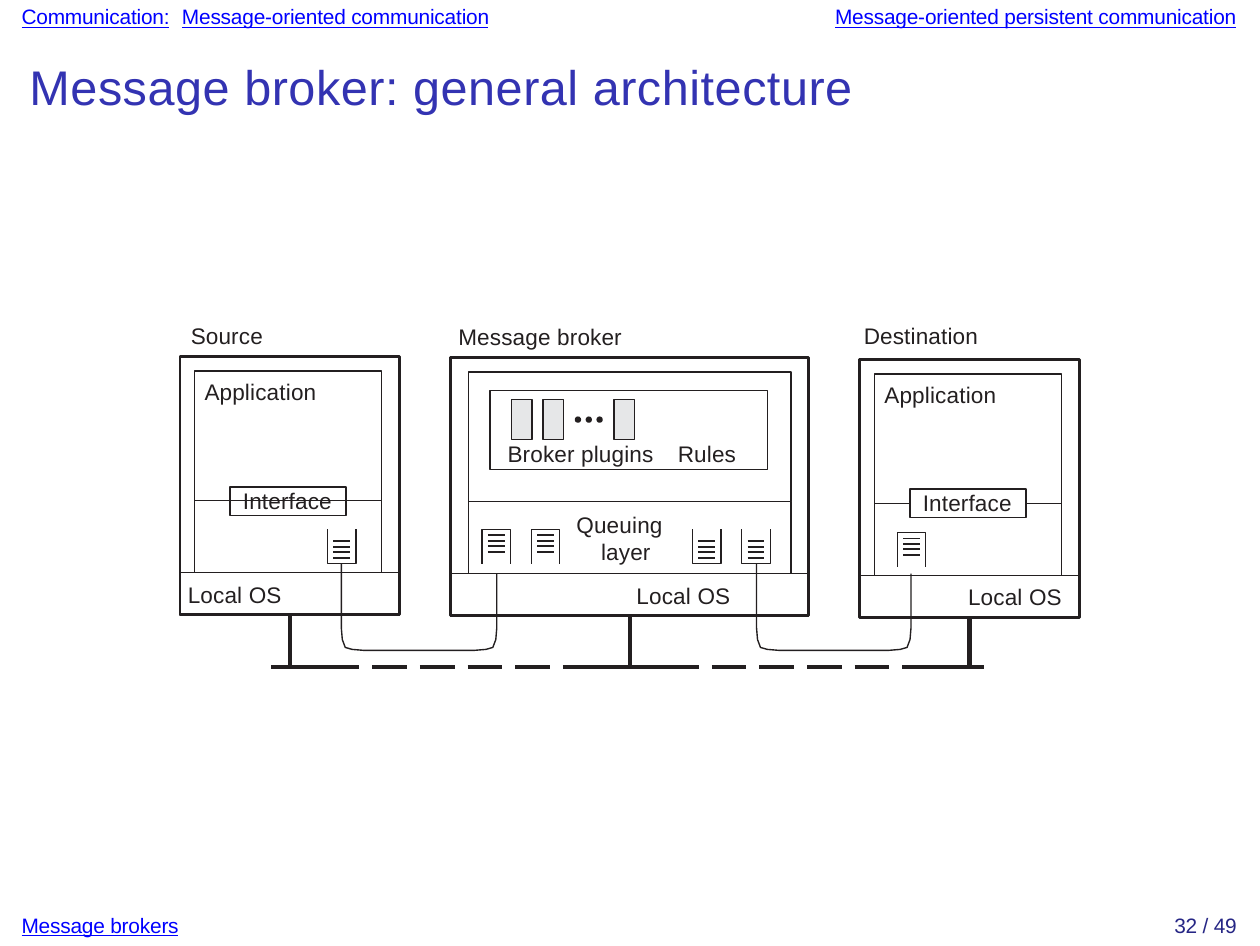
"""Draw the general architecture of a message broker on one slide."""
from dataclasses import dataclass

import pptx
import pptx.dml.color
import pptx.enum.dml
import pptx.enum.shapes
import pptx.enum.text
import pptx.oxml
import pptx.util

Cm = pptx.util.Cm
Pt = pptx.util.Pt
LEFT = pptx.enum.text.PP_ALIGN.LEFT
RIGHT = pptx.enum.text.PP_ALIGN.RIGHT
DASH = pptx.enum.dml.MSO_LINE.LONG_DASH
KIND = pptx.enum.shapes.MSO_SHAPE


@dataclass(frozen=True)
class Theme:
    font: str = "Arial"
    ink: str = "231F20"
    link: str = "0000FF"
    head: str = "3333B2"
    page: str = "262685"
    grey: str = "E6E7E8"
    white: str = "FFFFFF"
    small: float = 6
    body: float = 6.5
    title: float = 14
    thin: float = 0.41
    thick: float = 0.83
    bus: float = 1.25


@dataclass(frozen=True)
class Area:
    left: float
    top: float
    wide: float
    high: float


@dataclass(frozen=True)
class Style:
    size: float
    color: str
    space: int = 7
    under: bool = False


@dataclass(frozen=True)
class Label:
    text: str
    left: float
    top: float
    style: Style
    wide: float = 3
    align: int = LEFT
    hang: float = 0


@dataclass(frozen=True)
class Node:
    left: float
    top: float
    wide: float
    pad: float
    span: float
    shift: float
    app: str = ""


@dataclass(frozen=True)
class Queue:
    left: float
    top: float
    sign: int


THEME = Theme()
BODY = Style(THEME.body, THEME.ink)
LINK = Style(THEME.small, THEME.link, -5, True)
PAGE = Style(THEME.small, THEME.page, -5)
HEAD = Style(THEME.title, THEME.head, 15)

LABELS = [
    Label("Communication:", 0.22, 0.04, LINK),
    Label("Message-oriented communication", 1.85, 0.04, LINK, 5),
    Label("Message-oriented persistent communication", 6.56, 0.04, LINK, 6, RIGHT),
    Label("Message broker: general architecture", 0.3, 0.58, HEAD, 11),
    Label("Source", 1.94, 3.27, BODY),
    Label("Message broker", 4.66, 3.28, BODY),
    Label("Destination", 8.78, 3.27, BODY),
    Label("Broker plugins", 5.16, 4.47, BODY, 1.7),
    Label("Rules", 6.89, 4.47, BODY, 0.9),
    Label("Queuing\vlayer", 5.86, 5.19, BODY, 1.1, hang=0.25),
    Label("Message brokers", 0.22, 9.27, LINK),
    Label("32 / 49", 9.57, 9.27, PAGE, 3, RIGHT),
]
NODES = [
    Node(1.83, 3.62, 2.23, 0.15, 1.9, 0.08, "Application"),
    Node(4.58, 3.63, 3.64, 0.18, 3.28, 1.89),
    Node(8.74, 3.65, 2.23, 0.15, 1.9, 1.1, "Application"),
]
PORTS = [(Area(2.34, 4.95, 1.18, 0.29), None), (Area(9.25, 4.97, 1.18, 0.29), THEME.white)]
QUEUES = [
    Queue(3.33, 5.73, -1), Queue(4.9, 5.38, 1), Queue(5.4, 5.38, 1),
    Queue(7.04, 5.73, -1), Queue(7.54, 5.73, -1), Queue(9.12, 5.41, 1),
]
BEND = [(0, 6.38), (0.01, 6.5), (0.04, 6.58), (0.11, 6.6), (0.23, 6.61)]
CABLES = [(3.47, 5.05), (7.69, 9.26)]
BUS = [2.76, 3.3, 6.04, 6.75, 9.48, 10]
LEVEL = 6.78


def color(code: str) -> pptx.dml.color.RGBColor:
    return pptx.dml.color.RGBColor.from_string(code)


def write(shape, text: str, style: Style, align: int = LEFT,
          left: float = 0, top: float = 0, hang: float = 0) -> None:
    frame = shape.text_frame
    frame.word_wrap = True
    frame.vertical_anchor = pptx.enum.text.MSO_ANCHOR.TOP
    frame.margin_left, frame.margin_top = Cm(left), Cm(top)
    frame.margin_right = frame.margin_bottom = 0
    para = frame.paragraphs[0]
    para.text = text
    para.alignment = align
    if hang:
        props = para._p.get_or_add_pPr()
        props.set("marL", str(Cm(hang)))
        props.set("indent", str(-Cm(hang)))
    font = para.font
    font.name, font.size, font.underline = THEME.font, Pt(style.size), style.under
    font.color.rgb = color(style.color)
    for run in para.runs:
        run._r.get_or_add_rPr().set("spc", str(style.space))


def paint(shape, fill: str | None, width: float) -> None:
    shape.shadow.inherit = False
    if fill:
        shape.fill.solid()
        shape.fill.fore_color.rgb = color(fill)
    else:
        shape.fill.background()
    shape.line.color.rgb = color(THEME.ink)
    shape.line.width = Pt(width)


def box(slide, area: Area, fill: str | None = None,
        width: float = THEME.thin, kind: int = KIND.RECTANGLE):
    shape = slide.shapes.add_shape(
        kind, Cm(area.left), Cm(area.top), Cm(area.wide), Cm(area.high))
    paint(shape, fill, width)
    return shape


def trace(slide, paths: list[list[tuple[float, float]]]) -> None:
    paths = [[(Cm(x), Cm(y)) for x, y in path] for path in paths]
    form = slide.shapes.build_freeform(*paths[0][0])
    for step, path in enumerate(paths):
        if step:
            form.move_to(*path[0])
        form.add_line_segments(path[1:], close=False)
    paint(form.convert_to_shape(), None, THEME.thin)


def wire(slide, start: float, end: float, top: float = LEVEL):
    line = slide.shapes.add_connector(
        pptx.enum.shapes.MSO_CONNECTOR.STRAIGHT, Cm(start), Cm(top), Cm(end), Cm(LEVEL))
    line.line.color.rgb = color(THEME.ink)
    line.line.width = Pt(THEME.bus)
    line._element.spPr.append(pptx.oxml.parse_xml(
        '<a:effectLst xmlns:a="http://schemas.openxmlformats.org/drawingml/2006/main"/>'))
    return line


def draw_node(slide, node: Node) -> None:
    left, top = node.left, node.top
    frame = box(slide, Area(left, top, node.wide, 2.63), width=THEME.thick)
    app = box(slide, Area(left + node.pad, top + 0.15, node.span, 1.32))
    if node.app:
        write(app, node.app, BODY, left=0.1, top=0.07)
    box(slide, Area(left + node.pad, top + 1.47, node.span, 0.73))
    local = box(slide, Area(left, top + 2.2, node.wide, 0.43))
    write(local, "Local OS", BODY, left=node.shift, top=0.08)
    mid = left + node.wide / 2
    wire(slide, mid, mid, top + 2.63).begin_connect(frame, 2)


def draw_queue(slide, queue: Queue) -> None:
    left, top, sign = queue.left, queue.top, queue.sign
    base, right = top + 0.35 * sign, left + 0.29
    rows = [top + sign * gap for gap in (0.06, 0.12, 0.17, 0.23)]
    trace(slide, [[(left, base), (left, top), (right, top), (right, base)]]
          + [[(left + 0.06, row), (right - 0.06, row)] for row in rows])


def main() -> None:
    deck = pptx.Presentation()
    deck.slide_width, deck.slide_height = Pt(363), Pt(272.5)
    slide = deck.slides.add_slide(deck.slide_layouts[6])
    for node in NODES:
        draw_node(slide, node)
    for area, fill in PORTS:
        write(box(slide, area, fill), "Interface", BODY, left=0.13)
    box(slide, Area(4.98, 3.97, 2.82, 0.8))
    for left in (5.2, 5.52, 6.24):
        box(slide, Area(left, 4.06, 0.21, 0.41), THEME.grey)
    for step in range(3):
        box(slide, Area(5.85 + 0.11 * step, 4.24, 0.05, 0.05), THEME.ink, kind=KIND.OVAL)
    for queue in QUEUES:
        draw_queue(slide, queue)
    for left, right in CABLES:
        down = [(left + x, y) for x, y in BEND]
        rise = [(right - x, y) for x, y in reversed(BEND)]
        trace(slide, [[(left, 5.73), *down, *rise, (right, 5.83)]])
    for step, (start, end) in enumerate(zip(BUS, BUS[1:])):
        line = wire(slide, start, end)
        if step % 2:
            line.line.dash_style = DASH
    for label in LABELS:
        text = slide.shapes.add_textbox(
            Cm(label.left), Cm(label.top), Cm(label.wide), Cm(label.style.size * 0.04))
        write(text, label.text, label.style, label.align, hang=label.hang)
    deck.save("out.pptx")


if __name__ == "__main__":
    main()
